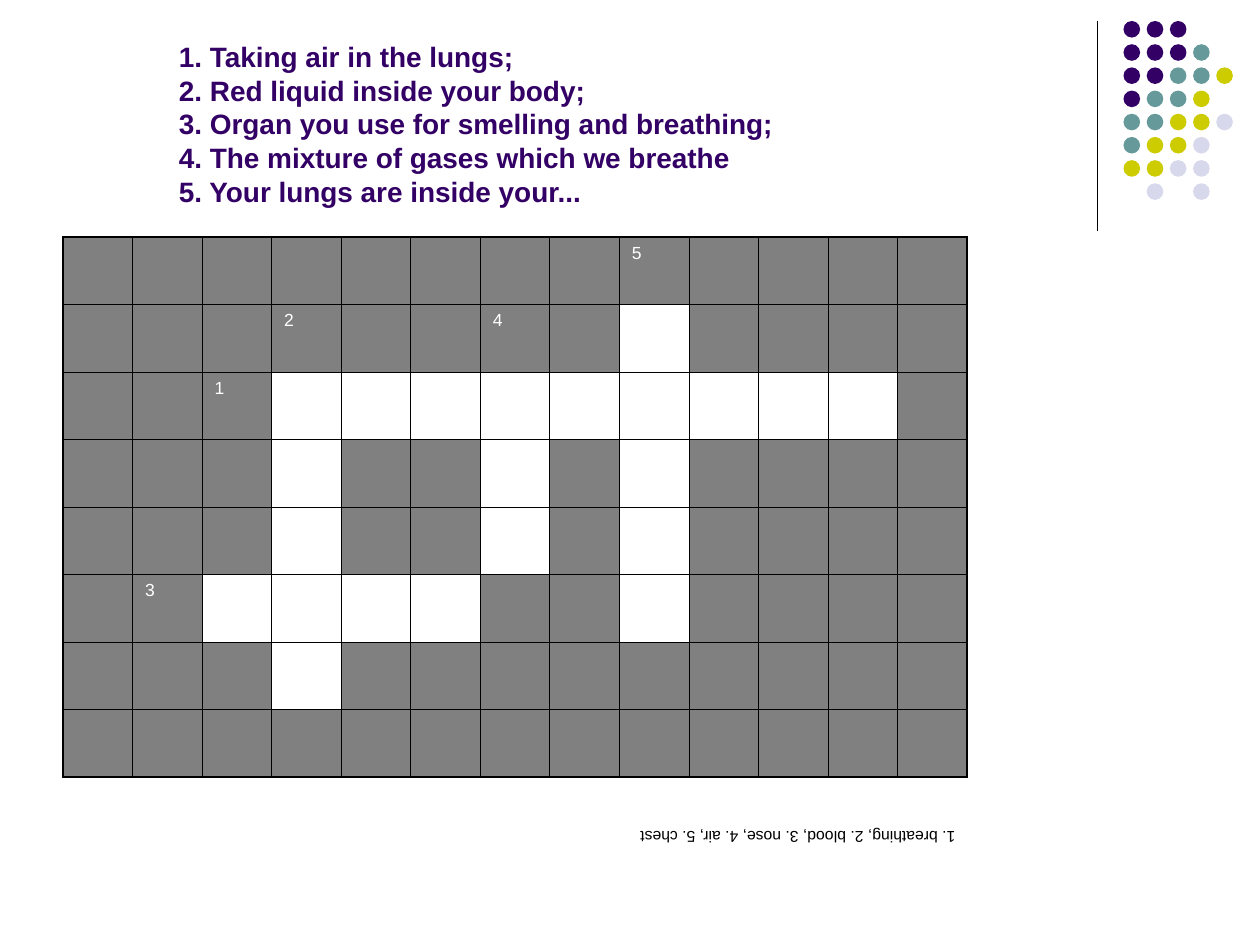
from lxml.etree import SubElement
from pptx import Presentation
from pptx.dml.color import RGBColor
from pptx.enum.shapes import MSO_CONNECTOR, MSO_SHAPE
from pptx.enum.text import MSO_ANCHOR, MSO_AUTO_SIZE, PP_ALIGN
from pptx.oxml import parse_xml
from pptx.oxml.ns import nsdecls, qn
from pptx.util import Pt

CLUES = [
    "1. Taking air in the lungs;",
    "2. Red liquid inside your body;",
    "3. Organ you use for smelling and breathing;",
    "4. The mixture of gases which we breathe",
    "5. Your lungs are inside your...",
]
ANSWERS = "1. breathing, 2. blood, 3. nose, 4. air, 5. chest"

CROSSWORD = [
    "########5####",
    "###2##4#.####",
    "##1.........#",
    "###.##.#.####",
    "###.##.#.####",
    "#3....##.####",
    "###.#########",
    "#############",
]
GRID_LEFT, GRID_TOP = 36, 135.4
COLUMN_WIDTH, ROW_HEIGHT = 39.75, 38.6
INNER_BORDER, OUTER_BORDER = 0.45, 1.08

DOTS = ["PPP", "PPPT", "PPTTY", "PTTY", "TTYYL", "TYYL", "YYLL", " L L"]
DOT_COLOURS = {"P": "330066", "T": "669999", "Y": "CCCC00", "L": "D8D8EC"}
DOTS_LEFT, DOTS_TOP, DOT_PITCH, DOT_SIZE = 642, 12, 13.25, 9.5


def paint(target, colour):
    target.solid()
    target.fore_color.rgb = RGBColor.from_string(colour)


def add_run(paragraph, text, size, colour, bold=False):
    run = paragraph.add_run()
    run.text = text
    run.font.name = "Arial"
    run.font.size = Pt(size)
    run.font.bold = bold
    paint(run.font.fill, colour)


def add_borders(cell, widths):
    properties = cell._tc.get_or_add_tcPr()
    for position, (side, width) in enumerate(widths.items()):
        properties.insert(position, parse_xml(
            f'<a:ln{side} {nsdecls("a")} w="{Pt(width)}"><a:solidFill>'
            f'<a:srgbClr val="000000"/></a:solidFill></a:ln{side}>'))


def add_dots(slide):
    divider = slide.shapes.add_connector(
        MSO_CONNECTOR.STRAIGHT, Pt(627), Pt(12), Pt(627), Pt(132))
    divider.line.width = Pt(0.75)
    paint(divider.line.fill, "000000")
    SubElement(divider._element.spPr, qn("a:effectLst"))
    dots = slide.shapes.add_group_shape()
    for row, letters in enumerate(DOTS):
        for column, letter in enumerate(letters):
            if letter == " ":
                continue
            dot = dots.shapes.add_shape(
                MSO_SHAPE.OVAL,
                Pt(DOTS_LEFT + column * DOT_PITCH), Pt(DOTS_TOP + row * DOT_PITCH),
                Pt(DOT_SIZE), Pt(DOT_SIZE))
            dot.shadow.inherit = False
            dot.line.fill.background()
            paint(dot.fill, DOT_COLOURS[letter])


def add_clues(slide):
    title = slide.shapes.title
    title.left, title.top, title.width, title.height = Pt(36.7), Pt(20.2), Pt(594), Pt(102.2)
    frame = title.text_frame
    frame.auto_size = MSO_AUTO_SIZE.NONE
    frame.vertical_anchor = MSO_ANCHOR.BOTTOM
    frame.margin_left = Pt(65.5)
    paragraph = frame.paragraphs[0]
    paragraph.alignment = PP_ALIGN.LEFT
    paragraph.line_spacing = Pt(19.25)
    for number, clue in enumerate(CLUES):
        if number:
            paragraph.add_line_break()
        add_run(paragraph, clue, 16, "330066", bold=True)


def add_crossword(slide):
    rows, columns = len(CROSSWORD), len(CROSSWORD[0])
    table = slide.shapes.add_table(
        rows, columns, Pt(GRID_LEFT), Pt(GRID_TOP),
        Pt(columns * COLUMN_WIDTH), Pt(rows * ROW_HEIGHT)).table
    table.first_row = table.horz_banding = False
    for column in table.columns:
        column.width = Pt(COLUMN_WIDTH)
    for r, squares in enumerate(CROSSWORD):
        table.rows[r].height = Pt(ROW_HEIGHT)
        for c, square in enumerate(squares):
            cell = table.cell(r, c)
            paint(cell.fill, "FFFFFF" if square == "." else "808080")
            on_edge = {"L": c == 0, "R": c == columns - 1, "T": r == 0, "B": r == rows - 1}
            add_borders(cell, {side: OUTER_BORDER if edge else INNER_BORDER
                               for side, edge in on_edge.items()})
            if square.isdigit():
                add_run(cell.text_frame.paragraphs[0], square, 10, "FFFFFF")


def add_answers(slide):
    answers = slide.shapes.add_textbox(Pt(354.3), Pt(468), Pt(198.7), Pt(19.4))
    answers.rotation = 180
    answers.text_frame.word_wrap = True
    add_run(answers.text_frame.paragraphs[0], ANSWERS, 9, "000000")


def main():
    presentation = Presentation()
    presentation.slide_width, presentation.slide_height = Pt(720), Pt(540)
    slide = presentation.slides.add_slide(presentation.slide_layouts[5])
    add_dots(slide)
    add_clues(slide)
    add_crossword(slide)
    add_answers(slide)
    presentation.save("out.pptx")


if __name__ == "__main__":
    main()
